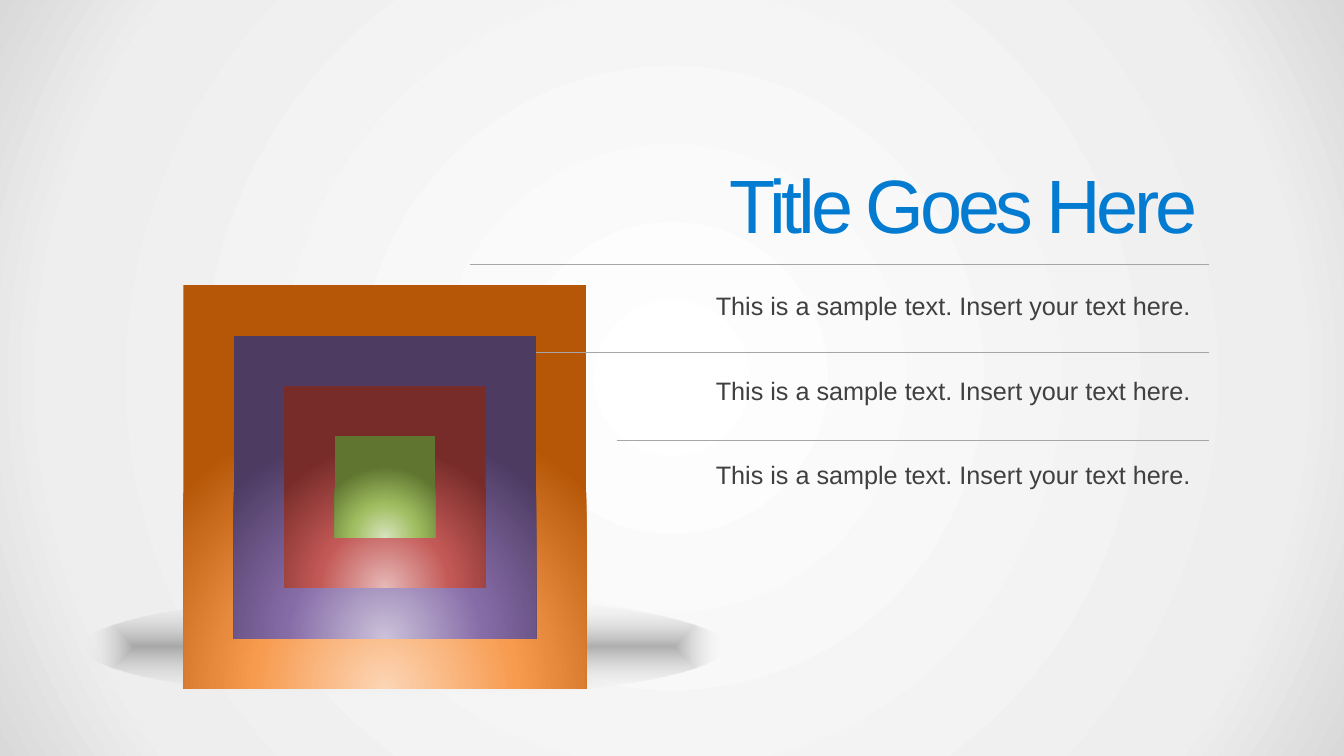
from lxml.etree import SubElement
from pptx import Presentation
from pptx.dml.color import RGBColor
from pptx.enum.shapes import MSO_CONNECTOR, MSO_SHAPE
from pptx.enum.text import MSO_AUTO_SIZE, PP_ALIGN
from pptx.oxml import parse_xml
from pptx.oxml.ns import nsdecls, qn
from pptx.util import Pt

TITLE = "Title Goes Here"
POINTS = ["This is a sample text. Insert your text here. "] * 3

TITLE_BLUE = RGBColor(0x02, 0x7B, 0xD1)
TEXT_GREY = RGBColor(0x40, 0x40, 0x40)
RULE_GREY = RGBColor(0xA6, 0xA6, 0xA6)

# Gradient stops: position %, colour, opacity %
BACKDROP = [(0, RGBColor(0xFF, 0xFF, 0xFF), 100),
            (81, RGBColor(0xEE, 0xEE, 0xEE), 100),
            (100, RGBColor(0xD9, 0xD9, 0xD9), 100)]
FLOOR_SHADOW = [(0, RGBColor(0x0D, 0x0D, 0x0D), 31),
                (100, RGBColor(0xFF, 0xFF, 0xFF), 0)]
# Outermost square first: glow, middle, edge
SQUARES = [
    (RGBColor(0xFC, 0xD5, 0xB5), RGBColor(0xF7, 0x9B, 0x4F), RGBColor(0xB6, 0x57, 0x08)),
    (RGBColor(0xCC, 0xC1, 0xDA), RGBColor(0x86, 0x6C, 0xA7), RGBColor(0x4D, 0x3B, 0x62)),
    (RGBColor(0xE6, 0xB9, 0xB8), RGBColor(0xC3, 0x59, 0x56), RGBColor(0x77, 0x2C, 0x2A)),
    (RGBColor(0xD7, 0xE4, 0xBD), RGBColor(0xA0, 0xBE, 0x61), RGBColor(0x5F, 0x75, 0x30)),
]

SQUARE_LEFT, SQUARE_TOP, SQUARE_SIZE, INSET = 131, 203.8, 288, 36
RULE_STARTS = [335.5, 383, 440.6]
RULE_RIGHT, RULE_TOP, RULE_STEP = 863.3, 188.8, 63
TEXT_LEFT, TEXT_WIDTH = 487.4, 375.1
TITLE_TOP, POINT_TOP, POINT_STEP = 109.4, 203.8, 60.5


def fill_radial(owner, root, stops, focus_y=50, path="circle"):
    """Give owner a radial gradient centred across, with its focus at focus_y %."""
    owner.fill.gradient()
    stop_xml = "".join(
        f'<a:gs pos="{pos * 1000}"><a:srgbClr val="{colour}">'
        f'<a:alpha val="{opacity * 1000}"/></a:srgbClr></a:gs>'
        for pos, colour, opacity in stops)
    radial = parse_xml(
        f'<a:gradFill {nsdecls("a")} rotWithShape="1"><a:gsLst>{stop_xml}</a:gsLst>'
        f'<a:path path="{path}"><a:fillToRect l="50000" t="{focus_y * 1000}" '
        f'r="50000" b="{(100 - focus_y) * 1000}"/></a:path></a:gradFill>')
    default = next(root.iter(qn("a:gradFill")))
    default.getparent().replace(default, radial)


def add_radial_shape(shapes, kind, left, top, width, height, stops, **focus):
    shape = shapes.add_shape(kind, Pt(left), Pt(top), Pt(width), Pt(height))
    shape.shadow.inherit = False
    shape.line.fill.background()
    fill_radial(shape, shape.element, stops, **focus)


def add_rule(shapes, start, y):
    rule = shapes.add_connector(MSO_CONNECTOR.STRAIGHT,
                                Pt(start), Pt(y), Pt(RULE_RIGHT), Pt(y))
    rule.line.color.rgb = RULE_GREY
    rule.line.width = Pt(0.75)
    SubElement(rule.element.spPr, qn("a:effectLst"))


def add_right_text(shapes, text, top, height, size, colour):
    box = shapes.add_textbox(Pt(TEXT_LEFT), Pt(top), Pt(TEXT_WIDTH), Pt(height))
    frame = box.text_frame
    frame.word_wrap = True
    frame.auto_size = MSO_AUTO_SIZE.SHAPE_TO_FIT_TEXT
    paragraph = frame.paragraphs[0]
    paragraph.text = text
    paragraph.alignment = PP_ALIGN.RIGHT
    paragraph.font.name = "Arial"
    paragraph.font.size = Pt(size)
    paragraph.font.color.rgb = colour
    return paragraph


def main():
    deck = Presentation()
    deck.slide_width, deck.slide_height = Pt(960), Pt(540)
    slide = deck.slides.add_slide(deck.slide_layouts[6])
    shapes = slide.shapes
    fill_radial(slide.background, slide.element, BACKDROP)

    add_radial_shape(shapes, MSO_SHAPE.OVAL, 59.8, 425.5, 457.9, 72.7,
                     FLOOR_SHADOW, path="shape")

    nest = shapes.add_group_shape()
    for level, (glow, middle, edge) in enumerate(SQUARES):
        inset = level * INSET
        size = SQUARE_SIZE - 2 * inset
        add_radial_shape(nest.shapes, MSO_SHAPE.RECTANGLE,
                         SQUARE_LEFT + inset, SQUARE_TOP + inset, size, size,
                         [(0, glow, 100), (46, middle, 100), (100, edge, 100)],
                         focus_y=130)

    for row, start in enumerate(RULE_STARTS):
        add_rule(shapes, start, RULE_TOP + row * RULE_STEP)

    for row, point in enumerate(POINTS):
        add_right_text(shapes, point, POINT_TOP + row * POINT_STEP, 29, 18, TEXT_GREY)

    title = add_right_text(shapes, TITLE, TITLE_TOP, 72.7, 54, TITLE_BLUE)
    title.runs[0].font._element.set("spc", "-300")

    deck.save("out.pptx")


if __name__ == "__main__":
    main()
